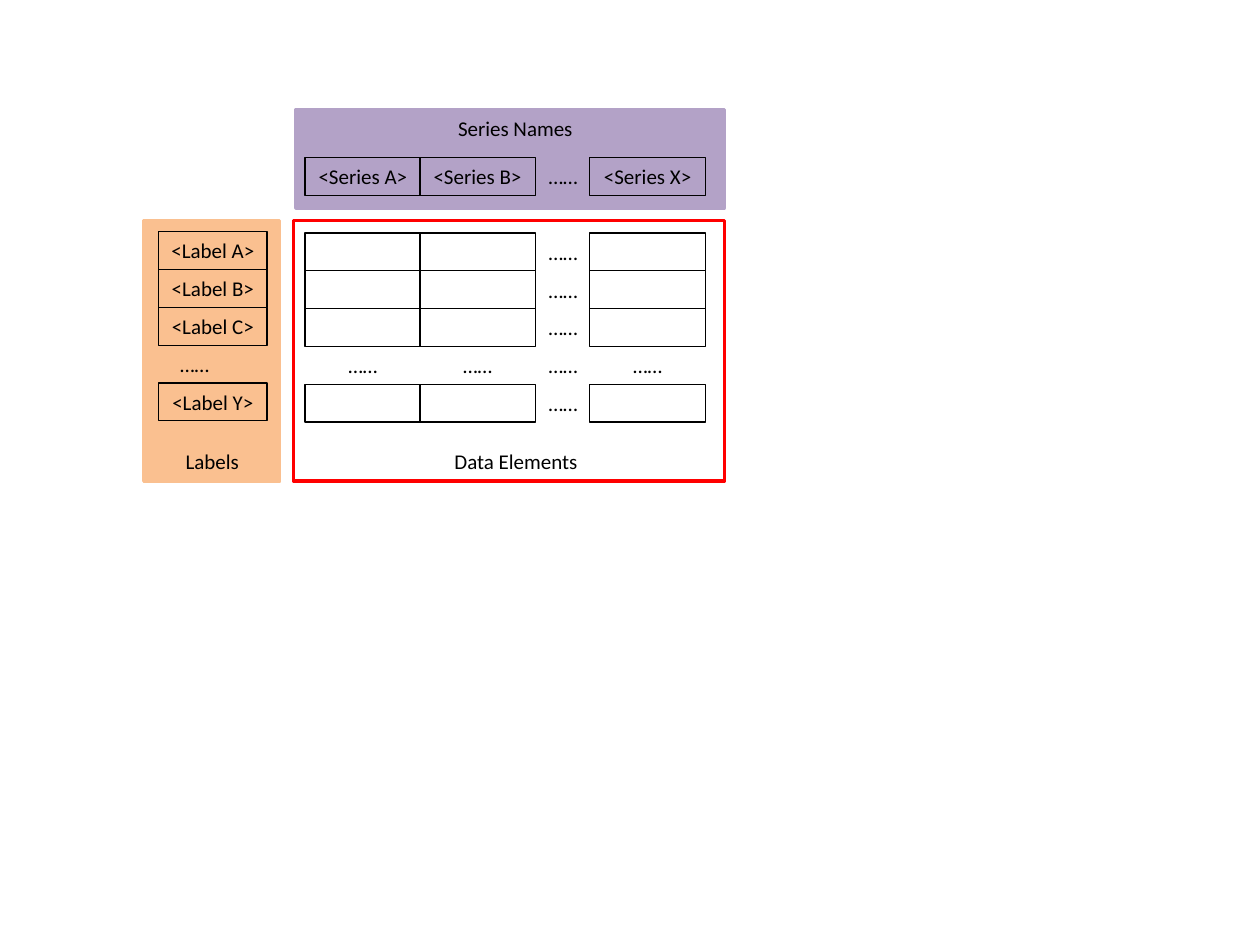
from dataclasses import dataclass

from pptx import Presentation
from pptx.dml.color import RGBColor
from pptx.enum import shapes, text
from pptx.util import Inches, Pt

BLACK = "000000"
ELLIPSIS = "……"
ROW_HEIGHT = 0.3


@dataclass(frozen=True)
class Box:
    left: float
    top: float
    width: float
    height: float = ROW_HEIGHT
    caption: str = ""
    fill: str = ""
    line: str = BLACK
    line_width: float = 0.75


@dataclass(frozen=True)
class Column:
    left: float
    width: float
    series: str


PANELS = [
    Box(2.35, 0.87, 3.4, 0.78, fill="B3A2C7", line="B3A2C7", line_width=2),
    Box(1.14, 1.75, 1.08, 2.07, fill="FAC090", line="FAC090", line_width=2),
    Box(2.33, 1.75, 3.42, 2.07, line="FF0000", line_width=2),
]
CAPTIONS = [
    Box(3.5, 3.51, 1.19, caption="Data Elements"),
    Box(1.37, 3.51, 0.63, caption="Labels"),
    Box(3.53, 0.87, 1.12, caption="Series Names"),
]
COLUMNS = [
    Column(2.42, 0.92, "<Series A>"),
    Column(3.33, 0.92, "<Series B>"),
    Column(4.25, 0.44, ELLIPSIS),
    Column(4.68, 0.92, "<Series X>"),
]
LABELS = ["<Label A>", "<Label B>", "<Label C>", ELLIPSIS, "<Label Y>"]
LABEL_LEFT, LABEL_WIDTH, LABEL_TOP = 1.26, 0.86, 1.84
ELLIPSIS_INDENT = 0.17
SERIES_TOP, DATA_TOP = 1.25, 1.85


def rgb(color: str) -> RGBColor:
    return RGBColor.from_string(color)


def place(box: Box) -> tuple:
    return tuple(Inches(n) for n in (box.left, box.top, box.width, box.height))


def write(shape, caption: str, indent: float = 0) -> None:
    """Set one line of text, centred unless it has a left indent."""
    frame = shape.text_frame
    frame.word_wrap = bool(indent)
    frame.vertical_anchor = text.MSO_ANCHOR.TOP
    if indent:
        frame.margin_left = Inches(indent)
    paragraph = frame.paragraphs[0]
    paragraph.alignment = text.PP_ALIGN.LEFT if indent else text.PP_ALIGN.CENTER
    run = paragraph.add_run()
    run.text = caption
    run.font.name = "Calibri"
    run.font.size = Pt(12)
    run.font.color.rgb = rgb(BLACK)


def draw_box(slide, box: Box) -> None:
    shape = slide.shapes.add_shape(shapes.MSO_SHAPE.RECTANGLE, *place(box))
    shape.shadow.inherit = False
    if box.fill:
        shape.fill.solid()
        shape.fill.fore_color.rgb = rgb(box.fill)
    else:
        shape.fill.background()
    shape.line.color.rgb = rgb(box.line)
    shape.line.width = Pt(box.line_width)
    if box.caption:
        write(shape, box.caption)


def draw_caption(slide, box: Box, indent: float = 0) -> None:
    write(slide.shapes.add_textbox(*place(box)), box.caption, indent)


def draw_labels(slide) -> None:
    for row, label in enumerate(LABELS):
        box = Box(LABEL_LEFT, LABEL_TOP + row * ROW_HEIGHT, LABEL_WIDTH, caption=label)
        if label == ELLIPSIS:
            draw_caption(slide, box, ELLIPSIS_INDENT)
        else:
            draw_box(slide, box)


def draw_column(slide, column: Column) -> None:
    """Draw a series name and the data cells under it."""
    header = Box(column.left, SERIES_TOP, column.width, caption=column.series)
    if column.series == ELLIPSIS:
        draw_caption(slide, header)
    else:
        draw_box(slide, header)
    for row, label in enumerate(LABELS):
        top = DATA_TOP + row * ROW_HEIGHT
        if ELLIPSIS in (label, column.series):
            draw_caption(slide, Box(column.left, top, column.width, caption=ELLIPSIS))
        else:
            draw_box(slide, Box(column.left, top, column.width))


def main() -> None:
    deck = Presentation()
    deck.slide_width, deck.slide_height = Inches(10), Inches(7.5)
    slide = deck.slides.add_slide(deck.slide_layouts[6])
    for panel in PANELS:
        draw_box(slide, panel)
    draw_labels(slide)
    for column in COLUMNS:
        draw_column(slide, column)
    for caption in CAPTIONS:
        draw_caption(slide, caption)
    deck.save("out.pptx")


if __name__ == "__main__":
    main()
